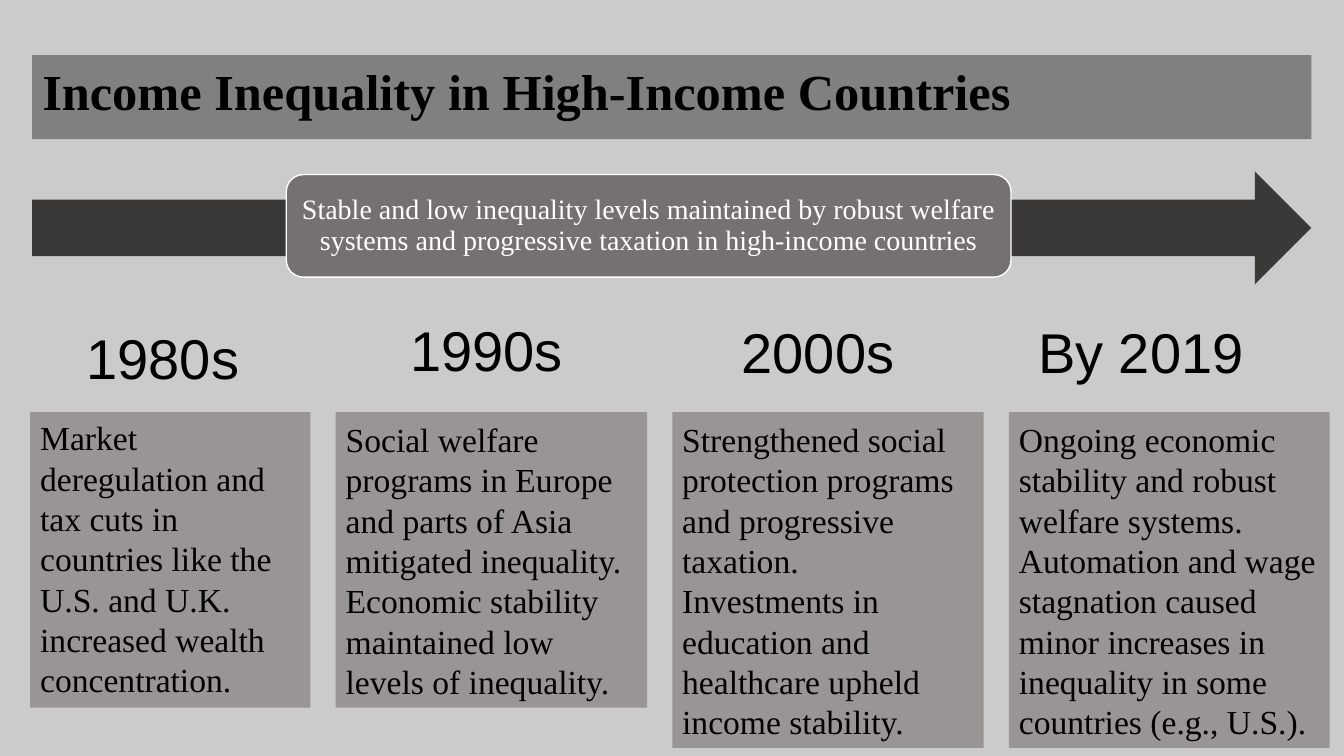
"""Build a timeline slide on income inequality in high-income countries."""
from pptx import Presentation
from pptx.dml.color import RGBColor
from pptx.enum.shapes import MSO_SHAPE
from pptx.enum.text import MSO_ANCHOR, MSO_AUTO_SIZE, PP_ALIGN
from pptx.util import Pt

RECT = MSO_SHAPE.RECTANGLE
ROUNDED = MSO_SHAPE.ROUNDED_RECTANGLE
ARROW = MSO_SHAPE.RIGHT_ARROW
TOP, MIDDLE = MSO_ANCHOR.TOP, MSO_ANCHOR.MIDDLE
LEFT, CENTER = PP_ALIGN.LEFT, PP_ALIGN.CENTER
GROW, FIXED = MSO_AUTO_SIZE.SHAPE_TO_FIT_TEXT, MSO_AUTO_SIZE.NONE
SERIF, SANS = "Times New Roman", "Arial"
TITLE_ONLY = 5

BOX_TOP = 294.5
DECADES = [
    ("1980s", (54.7, 227.5, 136), (21.6, 200.2, 211), TOP,
     ["Market deregulation and tax cuts in countries like the U.S. and U.K. "
      "increased wealth concentration."]),
    ("1990s", (285.8, 221.8, 151), (239.8, 222.5, 211), MIDDLE,
     ["Social welfare programs in Europe and parts of Asia mitigated inequality.",
      "Economic stability maintained low levels of inequality."]),
    ("2000s", (522.7, 223.2, 136), (480.2, 222.5, 239.8), MIDDLE,
     ["Strengthened social protection programs and progressive taxation.",
      "Investments in education and healthcare upheld income stability."]),
    ("By 2019", (734.4, 223.2, 185.8), (720.7, 229, 239.8), MIDDLE,
     ["Ongoing economic stability and robust welfare systems.",
      "Automation and wage stagnation caused minor increases in inequality "
      "in some countries (e.g., U.S.)."]),
]


def color(hex_value):
    return RGBColor.from_string(hex_value)


def write(shape, paragraphs, size, font=SERIF, ink="000000", bold=False, align=LEFT,
          anchor=TOP, fit=GROW, spacing=1.0, margins=(7.2, 3.6)):
    frame = shape.text_frame
    frame.text = "\n".join(paragraphs)
    frame.word_wrap = True
    frame.auto_size = fit
    frame.vertical_anchor = anchor
    frame.margin_left = frame.margin_right = Pt(margins[0])
    frame.margin_top = frame.margin_bottom = Pt(margins[1])
    for paragraph in frame.paragraphs:
        paragraph.alignment = align
        paragraph.line_spacing = spacing
        paragraph.space_before = Pt(0)
        for run in paragraph.runs:
            run.font.name = font
            run.font.size = Pt(size)
            run.font.bold = bold
            run.font.color.rgb = color(ink)


class Timeline:
    def __init__(self, deck):
        self.slide = deck.slides.add_slide(deck.slide_layouts[TITLE_ONLY])
        fill = self.slide.background.fill
        fill.solid()
        fill.fore_color.rgb = color("CBCBCB")

    def title(self, text, left, top, width, height):
        title = self.slide.shapes.title
        title.left, title.top = Pt(left), Pt(top)
        title.width, title.height = Pt(width), Pt(height)
        title.fill.solid()
        title.fill.fore_color.rgb = color("808080")
        write(title, [text], 36, bold=True)

    def block(self, kind, left, top, width, height, fill, outline=None):
        block = self.slide.shapes.add_shape(kind, Pt(left), Pt(top), Pt(width), Pt(height))
        block.shadow.inherit = False
        block.fill.solid()
        block.fill.fore_color.rgb = color(fill)
        if outline:
            block.line.color.rgb = color(outline)
            block.line.width = Pt(1)
        else:
            block.line.fill.background()
        return block

    def heading(self, text, left, top, width):
        heading = self.slide.shapes.add_textbox(Pt(left), Pt(top), Pt(width), Pt(55.7))
        write(heading, [text], 40, font=SANS)


def main():
    deck = Presentation()
    deck.slide_width, deck.slide_height = Pt(960), Pt(540)
    timeline = Timeline(deck)
    timeline.title("Income Inequality in High-Income Countries", 23, 39.4, 913.7, 50.9)

    for decade, heading_place, (left, width, height), anchor, events in DECADES:
        events_box = timeline.block(RECT, left, BOX_TOP, width, height, "999595")
        write(events_box, events, 24, anchor=anchor)
        timeline.heading(decade, *heading_place)

    timeline.block(ARROW, 23, 122.4, 913.7, 80.8, "3B3838")
    summary = timeline.block(ROUNDED, 204.5, 124.7, 517.7, 73.3, "767171", "FFFFFF")
    write(summary,
          ["Stable and low inequality levels maintained by robust welfare systems "
           "and progressive taxation in high-income countries"],
          20, ink="FFFFFF", align=CENTER, anchor=MIDDLE, fit=FIXED, spacing=0.9,
          margins=(5.8, 5.8))
    deck.save("out.pptx")


if __name__ == "__main__":
    main()
